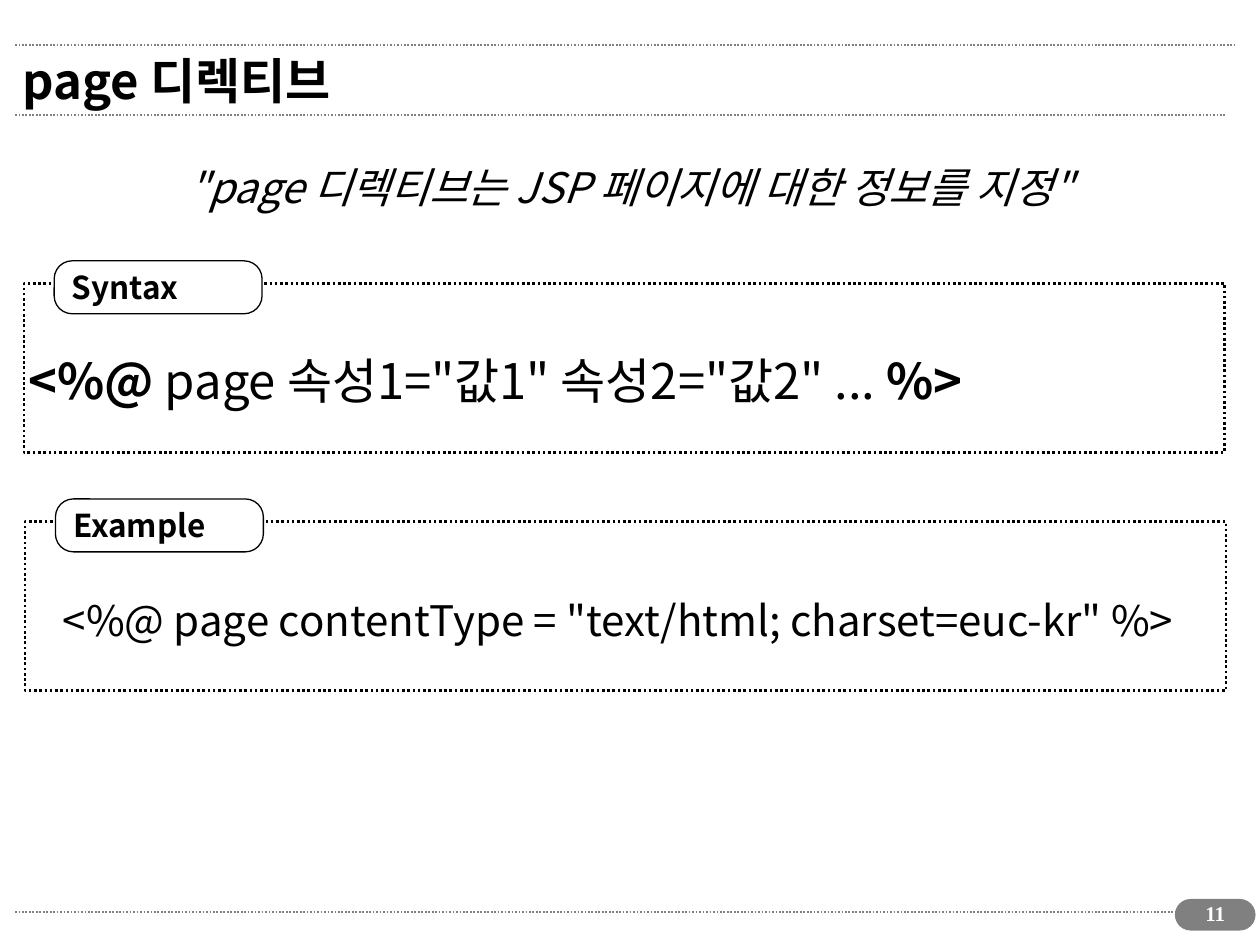
from lxml import etree
from pptx import Presentation
from pptx.dml.color import RGBColor
from pptx.enum.dml import MSO_LINE
from pptx.enum.shapes import MSO_CONNECTOR, MSO_SHAPE
from pptx.enum.text import MSO_ANCHOR, MSO_AUTO_SIZE, PP_ALIGN
from pptx.oxml.ns import qn
from pptx.util import Inches, Pt

DOT = MSO_LINE.ROUND_DOT
LINE = MSO_CONNECTOR.STRAIGHT
RECT, ROUND = MSO_SHAPE.RECTANGLE, MSO_SHAPE.ROUNDED_RECTANGLE
TOP, MIDDLE = MSO_ANCHOR.TOP, MSO_ANCHOR.MIDDLE
FIT, FIXED = MSO_AUTO_SIZE.SHAPE_TO_FIT_TEXT, MSO_AUTO_SIZE.NONE
LEFT, CENTER = PP_ALIGN.LEFT, PP_ALIGN.CENTER
SANS, SERIF = "Noto Sans CJK KR", "Times New Roman"
BLACK, GRAY, WHITE = "000000", "808080", "FFFFFF"


def paint(part, color):
    if hasattr(part, "solid"):
        part.solid()
        part = part.fore_color
    part.rgb = RGBColor.from_string(color)


def write(shape, runs, size, frame, align=LEFT, face=SANS, color=BLACK):
    for key, value in frame.items():
        setattr(shape.text_frame, key, value)
    para = shape.text_frame.paragraphs[0]
    para.alignment = align
    for text, style in runs:
        run = para.add_run()
        run.text = text
        look = {"name": face, "size": Pt(size), "bold": False} | style
        for key, value in look.items():
            setattr(run.font, key, value)
        paint(run.font.color, color)
        east = etree.SubElement(run.font._element, qn("a:ea"))
        east.set("typeface", face)


deck = Presentation()
deck.slide_width, deck.slide_height = Inches(10), Inches(7.5)
slide = deck.slides.add_slide(deck.slide_layouts[5])
shapes = slide.shapes
bold = {"bold": True}

for right, y in [(9.73, 7.24), (9.72, 0.91), (9.8, 0.36)]:
    rule = shapes.add_connector(LINE, Inches(0.12), Inches(y), Inches(right), Inches(y))
    paint(rule.line.fill, GRAY)
    rule.line.width = Pt(1)
    rule.line.dash_style = DOT
    etree.SubElement(rule._element.spPr, qn("a:effectLst"))

badge = shapes.add_shape(ROUND, Inches(9.33), Inches(7.14), Inches(0.63), Inches(0.24))
badge.adjustments[0] = 0.5
badge.shadow.inherit = False
paint(badge.fill, GRAY)
paint(badge.line.fill, GRAY)
badge.line.width = Pt(0.75)

title = shapes.title
place = {"left": 0.08, "top": 0.28, "width": 9.1, "height": 0.71}
for key, value in place.items():
    setattr(title, key, Inches(value))
write(title, [("page 디렉티브", bold)], 28,
      {"vertical_anchor": MIDDLE, "word_wrap": True, "auto_size": FIXED})

for name, x, y in [("Syntax", 0.19, 2.25), ("Example", 0.2, 4.14)]:
    frame = shapes.add_shape(RECT, Inches(x), Inches(y), Inches(9.53), Inches(1.34))
    frame.fill.background()
    frame.line.width = Pt(1.5)
    frame.line.dash_style = DOT
    label = shapes.add_shape(ROUND, Inches(x + 0.24), Inches(y - 0.18),
                             Inches(1.65), Inches(0.42))
    label.adjustments[0] = 0.34
    paint(label.fill, WHITE)
    label.line.width = Pt(0.75)
    for shape in (frame, label):
        shape.shadow.inherit = False
        paint(shape.line.fill, BLACK)
    write(label, [(name, bold)], 18, {"vertical_anchor": MIDDLE, "word_wrap": False})

syntax = [("<%@", bold), (' page 속성1="값1" 속성2="값2" ... ', {}), ("%>", bold)]
quote = [('"page 디렉티브는 JSP 페이지에 대한 정보를 지정"', {"italic": True})]
sample = [('<%@ page contentType = "text/html; charset=euc-kr" %>', {})]
texts = [
    (0.13, 2.73, 8.39, 0.57, syntax, 28, False, FIT, LEFT, SANS, BLACK),
    (0.2, 1.23, 9.61, 0.5, quote, 24, True, FIT, CENTER, SANS, BLACK),
    (0.4, 4.67, 9.11, 0.5, sample, 24, False, FIT, LEFT, SANS, BLACK),
    (9.37, 7.1, 0.55, 0.34, [("11", bold)], 12, True, FIXED, CENTER, SERIF, WHITE),
]
for x, y, w, h, runs, size, wrap, fit, align, face, color in texts:
    box = shapes.add_textbox(Inches(x), Inches(y), Inches(w), Inches(h))
    style = {"vertical_anchor": TOP, "word_wrap": wrap, "auto_size": fit}
    write(box, runs, size, style, align, face, color)

deck.save("out.pptx")
